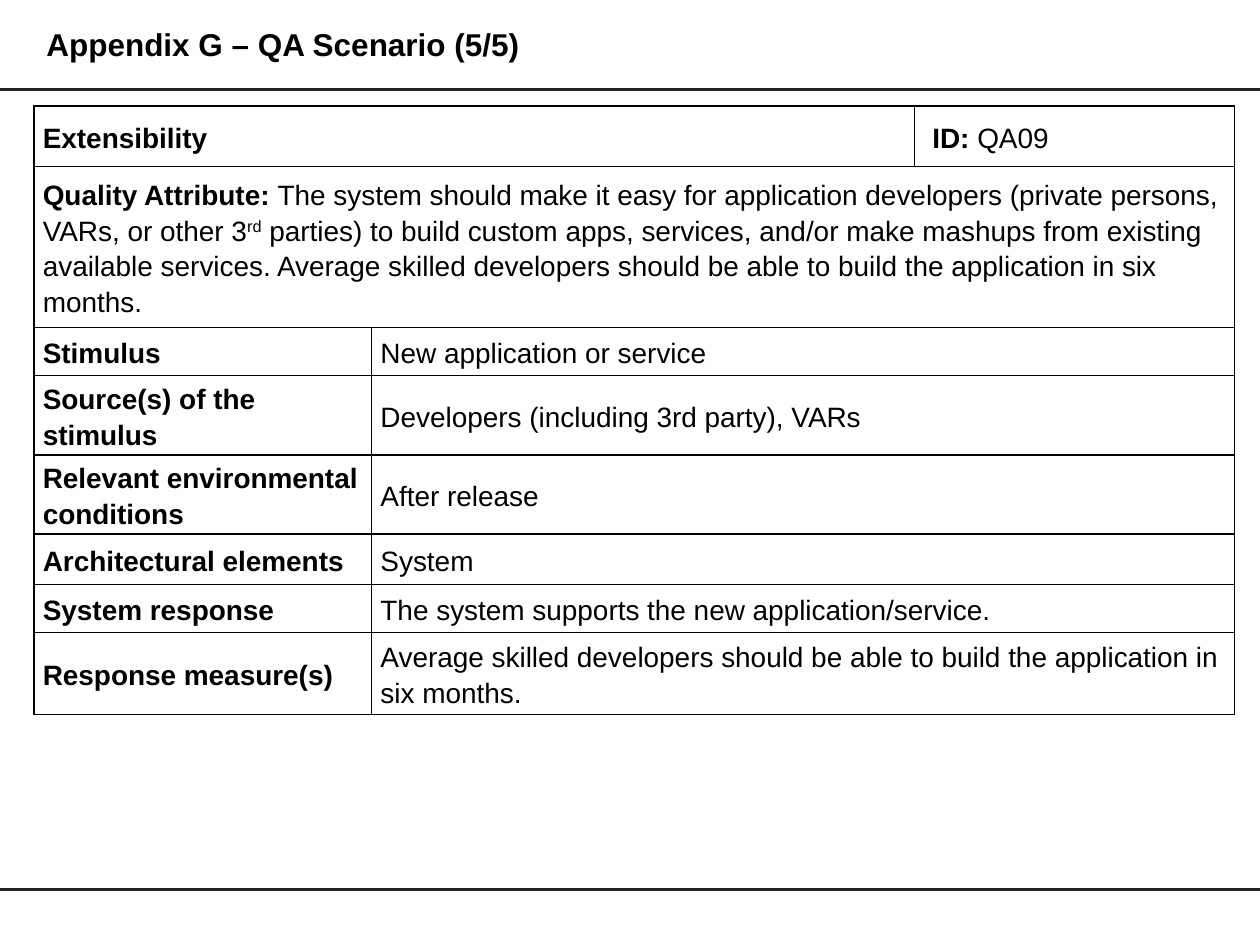
import pptx
import pptx.util
import pptx.dml.color
import pptx.enum.shapes
import pptx.enum.text
import pptx.oxml
import pptx.oxml.ns
from pptx.util import Inches

FONT = "Arial"
BLACK, RULE = "000000", "262626"
BOLD, PLAIN, SUPER = "bold", "plain", "super"

# Content: each cell is a list of (text, style) runs
TITLE = "Appendix G – QA Scenario (5/5)"
NAME = [("Extensibility", BOLD)]
SCENARIO_ID = [("ID: ", BOLD), ("QA09", PLAIN)]
ATTRIBUTE = [
    ("Quality Attribute: ", BOLD),
    ("The system should make it easy for application developers "
     "(private persons, VARs, or other 3", PLAIN),
    ("rd", SUPER),
    (" parties) to build custom apps, services, and/or make mashups from "
     "existing available services. Average skilled developers should be able "
     "to build the application in six months.", PLAIN),
]
DETAILS = [
    ("Stimulus", "New application or service"),
    ("Source(s) of the stimulus", "Developers (including 3rd party), VARs"),
    ("Relevant environmental conditions", "After release"),
    ("Architectural elements", "System"),
    ("System response", "The system supports the new application/service."),
    ("Response measure(s)", "Average skilled developers should be able to "
                            "build the application in six months."),
]
COLS = [2.68, 4.31, 2.54]
ROWS = [0.48, 1.28, 0.38, 0.63, 0.63, 0.4, 0.38, 0.65]
LEFT, WIDTH, TABLE_TOP = 0.27, 9.53, 0.84
RULES_Y = [0.71, 7.06]


def rgb(value):
    return pptx.dml.color.RGBColor.from_string(value)


def write(p, runs, size, spacing):
    p.line_spacing = spacing
    for text, style in runs:
        r = p.add_run()
        r.text = text
        r.font.name = FONT
        r.font.size = pptx.util.Pt(size)
        r.font.bold = style == BOLD
        r.font.color.rgb = rgb(BLACK)
        if style == SUPER:
            r.font._element.set("baseline", "30000")


def style_cell(cell):
    cell.fill.background()
    cell.vertical_anchor = pptx.enum.text.MSO_ANCHOR.MIDDLE
    cell.margin_left = cell.margin_right = Inches(0.07)
    cell.margin_top = cell.margin_bottom = 0
    tcPr = cell._tc.get_or_add_tcPr()
    for i, side in enumerate("LRTB"):
        tcPr.insert(i, pptx.oxml.parse_xml(
            f'<a:ln{side} {pptx.oxml.ns.nsdecls("a")} w="{pptx.util.Pt(1)}">'
            f'<a:solidFill><a:srgbClr val="{BLACK}"/></a:solidFill>'
            f'</a:ln{side}>'))


prs = pptx.Presentation()
prs.slide_width, prs.slide_height = Inches(10), Inches(7.5)
s = prs.slides.add_slide(prs.slide_layouts[6])

# Header and footer rules
for y in RULES_Y:
    line = s.shapes.add_connector(pptx.enum.shapes.MSO_CONNECTOR.STRAIGHT,
                                  0, Inches(y), prs.slide_width, Inches(y))
    line.line.color.rgb = rgb(RULE)
    line.line.width = pptx.util.Pt(1.75)
    line._element.spPr.append(pptx.oxml.parse_xml(
        f'<a:effectLst {pptx.oxml.ns.nsdecls("a")}/>'))

# Title
sp = s.shapes.add_textbox(Inches(LEFT), Inches(0.1), Inches(WIDTH), Inches(0.53))
tf = sp.text_frame
tf.word_wrap = True
tf.vertical_anchor = pptx.enum.text.MSO_ANCHOR.MIDDLE
tf.margin_left = tf.margin_right = tf.margin_top = tf.margin_bottom = Inches(0.1)
write(tf.paragraphs[0], [(TITLE, BOLD)], 18, 0.9)

# Scenario table
table = s.shapes.add_table(len(ROWS), len(COLS), Inches(LEFT), Inches(TABLE_TOP),
                           Inches(WIDTH), Inches(sum(ROWS))).table
table.first_row = table.horz_banding = False
for col, width in zip(table.columns, COLS):
    col.width = Inches(width)
for row, height in zip(table.rows, ROWS):
    row.height = Inches(height)
for cell in table.iter_cells():
    style_cell(cell)

# Cells as (row, first column, last column, runs)
cells = [(0, 0, 1, NAME), (0, 2, 2, SCENARIO_ID), (1, 0, 2, ATTRIBUTE)]
for row, (label, value) in enumerate(DETAILS, start=2):
    cells += [(row, 0, 0, [(label, BOLD)]), (row, 1, 2, [(value, PLAIN)])]
for row, first, last, runs in cells:
    cell = table.cell(row, first)
    if last > first:
        cell.merge(table.cell(row, last))
    write(cell.text_frame.paragraphs[0], runs, 16, 1.15)

# First-line indent of the ID
pPr = table.cell(0, 2).text_frame.paragraphs[0]._p.get_or_add_pPr()
pPr.set("marL", "0")
pPr.set("indent", str(Inches(0.07)))

prs.save("out.pptx")
